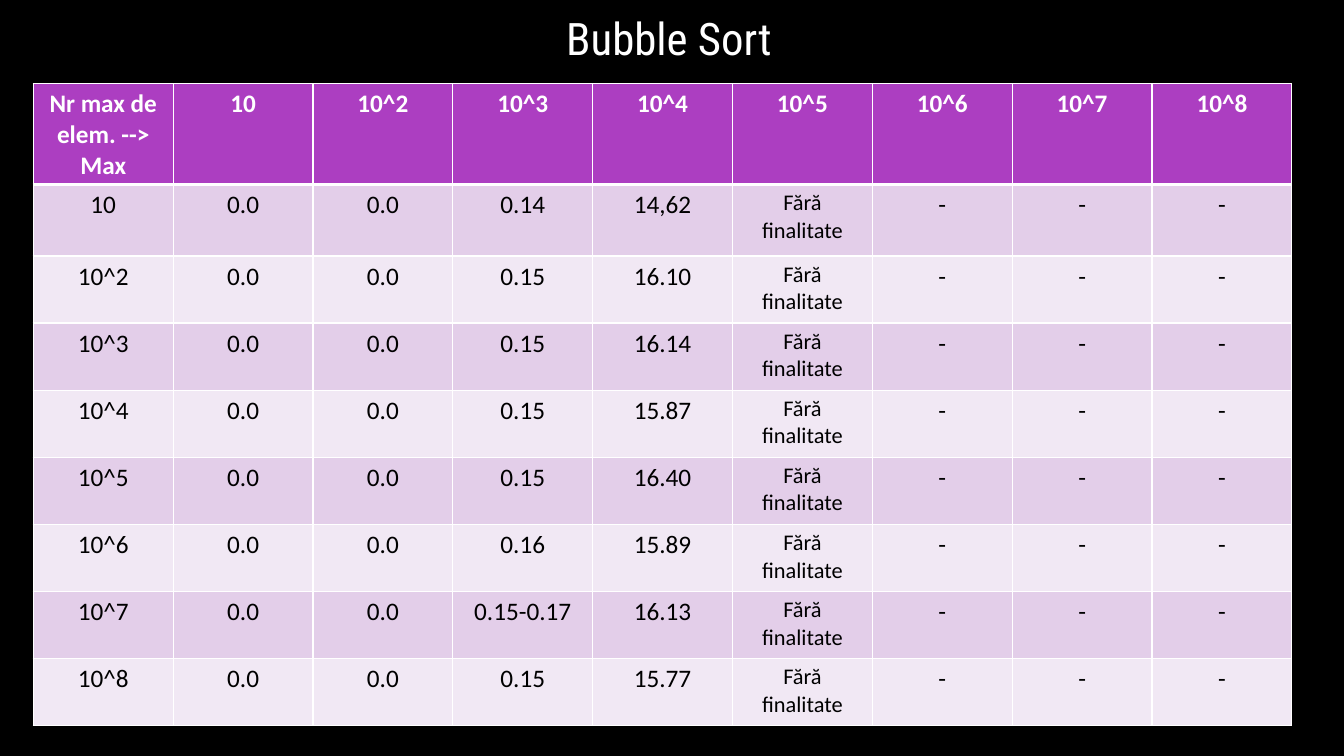
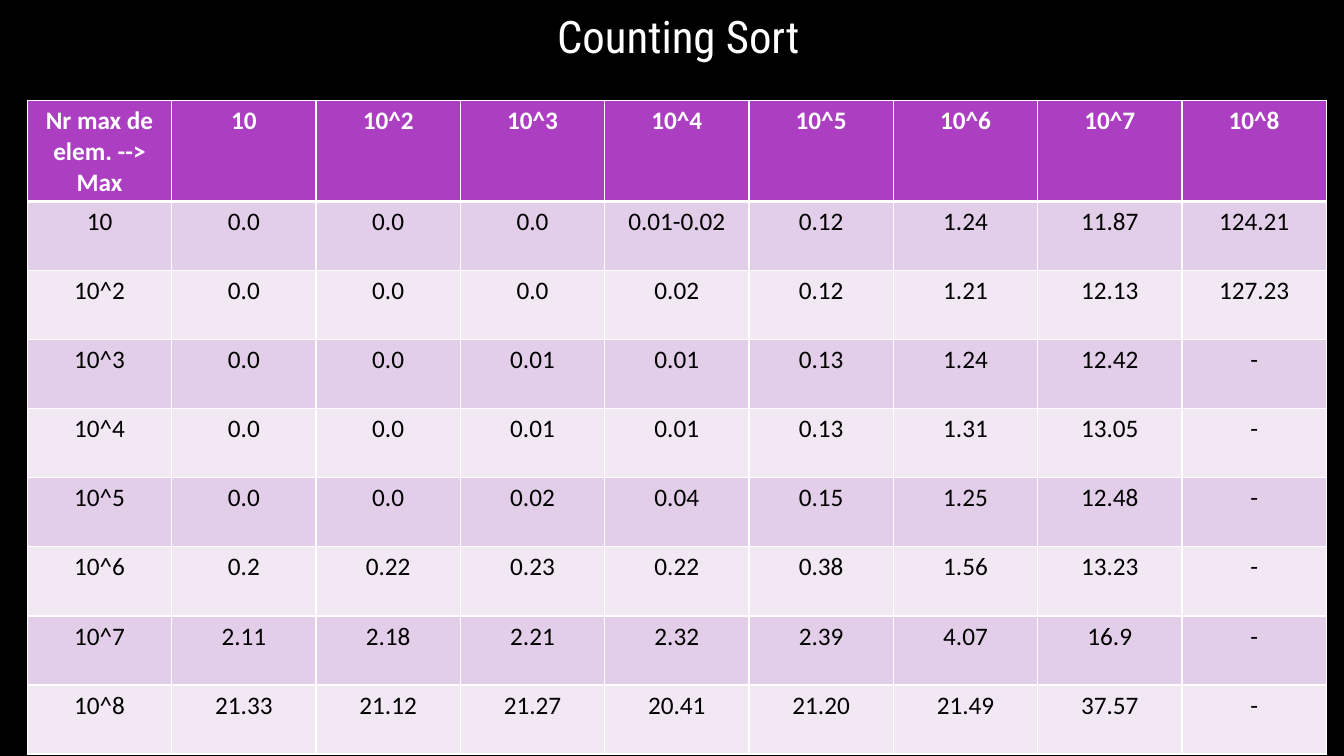
from lxml import etree
from pptx import Presentation
from pptx.dml.color import RGBColor
from pptx.enum.text import MSO_AUTO_SIZE, PP_ALIGN
from pptx.oxml.ns import qn
from pptx.util import Cm, Pt

CENTER = PP_ALIGN.CENTER
FIT_SHAPE = MSO_AUTO_SIZE.SHAPE_TO_FIT_TEXT

COLORS = {
    "background": "000000",
    "title": "FFFFFF",
    "header_fill": "AC3EC1",
    "header_text": "FFFFFF",
    "band_dark": "E3CEE9",
    "band_light": "F1E8F4",
    "body_text": "000000",
    "border": "FFFFFF",
}
TITLE_FONT = "Roboto Condensed"
TABLE_FONT = "Calibri"
TITLE_SIZE, CELL_SIZE, NOTE_SIZE = 32, 18, 16
THIN, THICK = 1, 3
HEADER_HEIGHT = 2.53

MAGNITUDES = ["10"] + [f"10^{power}" for power in range(2, 9)]
CORNER = "Nr max de elem. -->\nMax"
UNFINISHED = "Fără finalitate"
SKIPPED = "-"

BUBBLE_TIMES = [
    ["0.0", "0.0", n_1000, n_10000, UNFINISHED] + [SKIPPED] * 3
    for n_1000, n_10000 in [
        ("0.14", "14,62"),
        ("0.15", "16.10"),
        ("0.15", "16.14"),
        ("0.15", "15.87"),
        ("0.15", "16.40"),
        ("0.16", "15.89"),
        ("0.15-0.17", "16.13"),
        ("0.15", "15.77"),
    ]
]
COUNTING_TIMES = [
    row.split()
    for row in [
        "0.0 0.0 0.0 0.01-0.02 0.12 1.24 11.87 124.21",
        "0.0 0.0 0.0 0.02 0.12 1.21 12.13 127.23",
        "0.0 0.0 0.01 0.01 0.13 1.24 12.42 -",
        "0.0 0.0 0.01 0.01 0.13 1.31 13.05 -",
        "0.0 0.0 0.02 0.04 0.15 1.25 12.48 -",
        "0.2 0.22 0.23 0.22 0.38 1.56 13.23 -",
        "2.11 2.18 2.21 2.32 2.39 4.07 16.9 -",
        "21.33 21.12 21.27 20.41 21.20 21.49 37.57 -",
    ]
]


def rgb(name):
    return RGBColor.from_string(COLORS[name])


def format_runs(paragraph, font_name, size, color, bold=False):
    for run in paragraph.runs:
        run.font.name = font_name
        run.font.size = Pt(size)
        run.font.bold = bold
        run.font.color.rgb = rgb(color)


def add_title(slide, text, left, top, width):
    title = slide.shapes.add_textbox(Cm(left), Cm(top), Cm(width), Cm(1.63))
    frame = title.text_frame
    frame.word_wrap = True
    frame.auto_size = FIT_SHAPE
    frame.text = text
    format_runs(frame.paragraphs[0], TITLE_FONT, TITLE_SIZE, "title")


def set_borders(cell, top, bottom):
    """Draw all four cell edges; top and bottom are widths in points."""
    properties = cell._tc.get_or_add_tcPr()
    for edge, width in (("L", THIN), ("R", THIN), ("T", top), ("B", bottom)):
        line = etree.SubElement(properties, qn(f"a:ln{edge}"), w=str(Pt(width)))
        fill = etree.SubElement(line, qn("a:solidFill"))
        etree.SubElement(fill, qn("a:srgbClr"), val=COLORS["border"])


def fill_cell(cell, text, row_index):
    is_header = row_index == 0
    if is_header:
        fill_color = "header_fill"
    else:
        fill_color = "band_dark" if row_index % 2 else "band_light"
    set_borders(
        cell,
        top=THICK if row_index == 1 else THIN,
        bottom=THICK if is_header else THIN,
    )
    cell.fill.solid()
    cell.fill.fore_color.rgb = rgb(fill_color)
    cell.text_frame.text = text
    size = NOTE_SIZE if text == UNFINISHED else CELL_SIZE
    text_color = "header_text" if is_header else "body_text"
    for paragraph in cell.text_frame.paragraphs:
        paragraph.alignment = CENTER
        format_runs(paragraph, TABLE_FONT, size, text_color, bold=is_header)


def add_times_table(slide, times, left, top, width, body_heights):
    rows = [[CORNER] + MAGNITUDES]
    rows += [[label] + values for label, values in zip(MAGNITUDES, times)]
    heights = [HEADER_HEIGHT] + body_heights
    table = slide.shapes.add_table(
        len(rows), len(rows[0]), Cm(left), Cm(top), Cm(width), Cm(sum(heights))
    ).table
    table.horz_banding = False
    for row_index, (values, height) in enumerate(zip(rows, heights)):
        table.rows[row_index].height = Cm(height)
        for column_index, text in enumerate(values):
            fill_cell(table.cell(row_index, column_index), text, row_index)


def main():
    prs = Presentation()
    prs.slide_width, prs.slide_height = Cm(33.87), Cm(19.05)
    background = prs.slide_master.background.fill
    background.solid()
    background.fore_color.rgb = rgb("background")
    blank = prs.slide_layouts[6]

    bubble = prs.slides.add_slide(blank)
    add_title(bubble, "Bubble Sort", 14.02, 0.15, 7.06)
    add_times_table(bubble, BUBBLE_TIMES, 0.84, 2.11, 31.72, [1.8] + [1.69] * 7)

    counting = prs.slides.add_slide(blank)
    add_title(counting, "Counting Sort", 13.79, 0.1, 7.62)
    add_times_table(counting, COUNTING_TIMES, 0.69, 2.54, 32.74, [1.74] * 8)

    prs.save("out.pptx")


if __name__ == "__main__":
    main()
